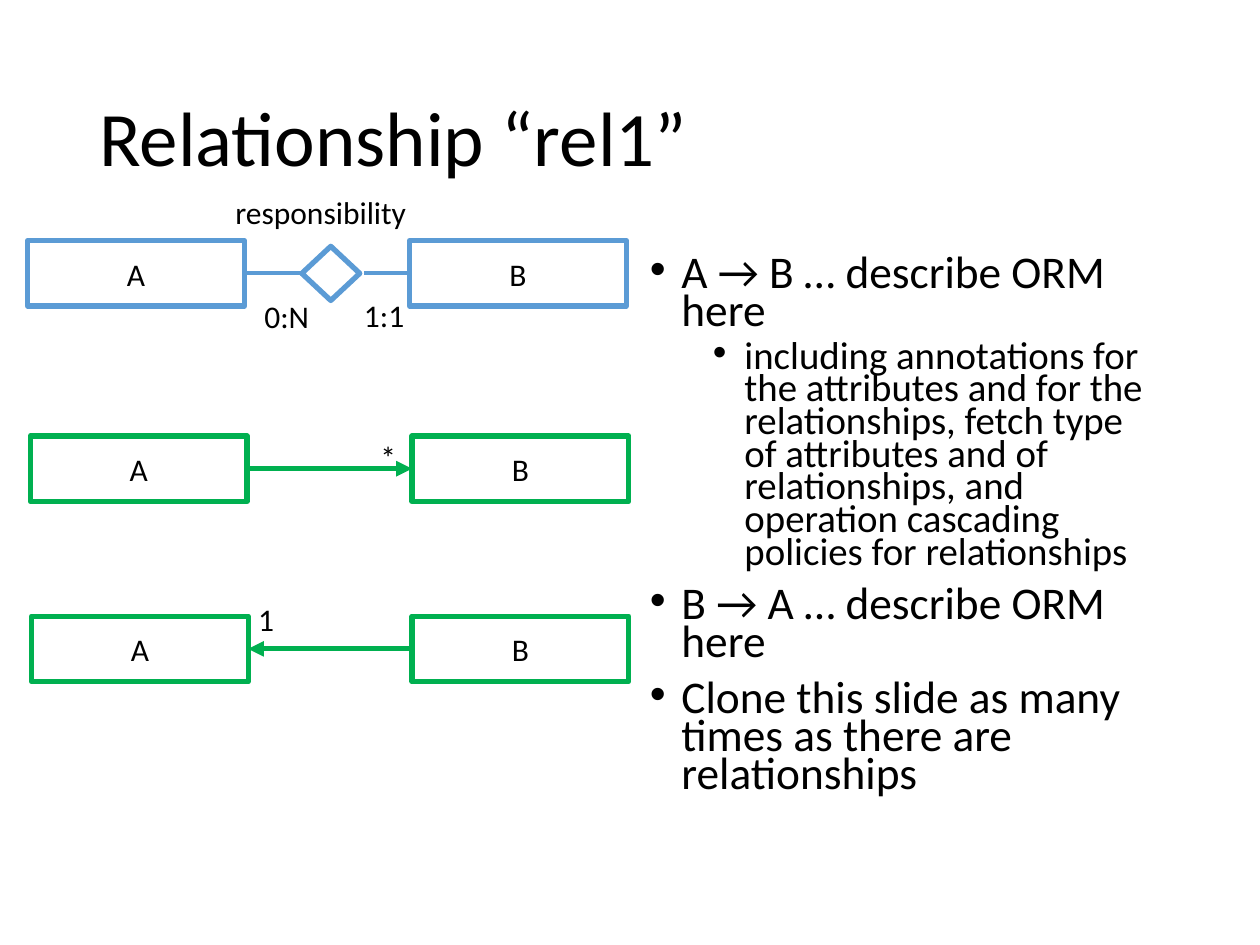
from dataclasses import dataclass

from lxml import etree
from pptx import Presentation
from pptx.dml.color import RGBColor
from pptx.enum.shapes import MSO_CONNECTOR, MSO_SHAPE
from pptx.enum.text import MSO_ANCHOR, MSO_AUTO_SIZE, PP_ALIGN
from pptx.oxml.ns import qn
from pptx.util import Pt

STRAIGHT = MSO_CONNECTOR.STRAIGHT
RECTANGLE, DIAMOND = MSO_SHAPE.RECTANGLE, MSO_SHAPE.DIAMOND
MIDDLE, TOP = MSO_ANCHOR.MIDDLE, MSO_ANCHOR.TOP
CENTER, LEFT = PP_ALIGN.CENTER, PP_ALIGN.LEFT
GROW = MSO_AUTO_SIZE.SHAPE_TO_FIT_TEXT

FONT = "Calibri"
BLACK, WHITE, BLUE, GREEN = "000000", "FFFFFF", "5B9BD5", "00B050"
BOX_WIDTH, BOX_HEIGHT = 123.84, 37.44
LABEL_HEIGHT = 28.8


@dataclass
class EntityRow:
    """A pair of boxes, A and B, at one height."""
    left_a: float
    left_b: float
    top: float
    color: str
    fill: str | None = None

    @property
    def middle(self) -> float:
        return self.top + BOX_HEIGHT / 2

    @property
    def right_a(self) -> float:
        return self.left_a + BOX_WIDTH


@dataclass
class Line:
    """A horizontal line, with an optional arrowhead at its end."""
    start: float
    end: float
    y: float
    color: str
    width: float = 3
    arrow: bool = False


@dataclass
class Label:
    """A short caption beside a line."""
    text: str
    left: float
    top: float
    width: float


@dataclass
class Bullet:
    """A bulleted paragraph with its size, indent and space before."""
    text: str
    size: float = 25.9
    indent: float = 18
    space: float = 10
    level: int = 0


ER_ROW = EntityRow(15.84, 234, 137.52, BLUE, WHITE)
TO_B_ROW = EntityRow(17.28, 235.44, 249.12, GREEN)
TO_A_ROW = EntityRow(18, 235.44, 352.08, GREEN)
ROWS = [ER_ROW, TO_B_ROW, TO_A_ROW]

LINES = [
    Line(ER_ROW.left_b, 208, ER_ROW.middle, BLUE, 2.25),
    Line(172.8, ER_ROW.right_a, ER_ROW.middle, BLUE, 2.25),
    Line(TO_B_ROW.right_a, TO_B_ROW.left_b, TO_B_ROW.middle, GREEN, arrow=True),
    Line(TO_A_ROW.left_b, TO_A_ROW.right_a, TO_A_ROW.middle, GREEN, arrow=True),
]

LABELS = [
    Label("1:1", 200.88, 165.6, 38.16),
    Label("0:N", 144, 166.32, 40.32),
    Label("responsibility", 127.44, 106.56, 113.04),
    Label("*", 210.24, 246.96, 23.76),
    Label("1", 140.4, 339.12, 23.76),
]

BULLETS = [
    Bullet("A → B … describe ORM here"),
    Bullet("including annotations for the attributes and for the relationships, "
           "fetch type of attributes and of relationships, and operation "
           "cascading policies for relationships", 22.2, 54, 5, 1),
    Bullet("B → A … describe ORM here"),
    Bullet("Clone this slide as many times as there are relationships"),
]


def rgb(color: str) -> RGBColor:
    """Turn a hex string into a colour."""
    return RGBColor.from_string(color)


def add_run(paragraph, text: str, size: float) -> None:
    """Add one run of black text."""
    run = paragraph.add_run()
    run.text = text
    run.font.name, run.font.size = FONT, Pt(size)
    run.font.color.rgb = rgb(BLACK)


def add_outline(slide, kind, left: float, top: float, width: float, height: float,
                color: str, fill: str | None = None):
    """Add an outlined preset shape and return it."""
    shape = slide.shapes.add_shape(kind, Pt(left), Pt(top), Pt(width), Pt(height))
    shape.shadow.inherit = False
    if fill:
        shape.fill.solid()
        shape.fill.fore_color.rgb = rgb(fill)
    else:
        shape.fill.background()
    shape.line.color.rgb = rgb(color)
    shape.line.width = Pt(3)
    return shape


def add_entity(slide, text: str, left: float, row: EntityRow) -> None:
    """Add one named entity box."""
    shape = add_outline(slide, RECTANGLE, left, row.top, BOX_WIDTH, BOX_HEIGHT,
                        row.color, row.fill)
    shape.text_frame.vertical_anchor = MIDDLE
    paragraph = shape.text_frame.paragraphs[0]
    paragraph.alignment = CENTER
    add_run(paragraph, text, 18)


def add_line(slide, line: Line) -> None:
    """Add a connector without a shadow."""
    connector = slide.shapes.add_connector(
        STRAIGHT, Pt(line.start), Pt(line.y), Pt(line.end), Pt(line.y))
    connector.line.color.rgb = rgb(line.color)
    connector.line.width = Pt(line.width)
    if line.arrow:
        outline = connector.line._get_or_add_ln()
        etree.SubElement(outline, qn("a:tailEnd"), type="triangle")
    etree.SubElement(connector._element.spPr, qn("a:effectLst"))


def add_text_frame(slide, left: float, top: float, width: float, height: float,
                   anchor=TOP, wrap: bool = True):
    """Add a text box and return its text frame."""
    box = slide.shapes.add_textbox(Pt(left), Pt(top), Pt(width), Pt(height))
    frame = box.text_frame
    frame.word_wrap, frame.vertical_anchor = wrap, anchor
    return frame


def add_label(slide, label: Label) -> None:
    """Add a caption that fits its text."""
    frame = add_text_frame(slide, label.left, label.top, label.width,
                           LABEL_HEIGHT, wrap=False)
    frame.auto_size = GROW
    add_run(frame.paragraphs[0], label.text, 18)


def add_bullets(frame, bullets: list[Bullet]) -> None:
    """Fill a text frame with bulleted paragraphs."""
    for index, bullet in enumerate(bullets):
        paragraph = frame.add_paragraph() if index else frame.paragraphs[0]
        paragraph.alignment, paragraph.level = LEFT, bullet.level
        paragraph.line_spacing = 0.7
        paragraph.space_before = Pt(bullet.space)
        properties = paragraph._p.get_or_add_pPr()
        properties.set("marL", str(Pt(bullet.indent)))
        properties.set("indent", str(Pt(-18)))
        etree.SubElement(properties, qn("a:buFont"), typeface="Arial")
        etree.SubElement(properties, qn("a:buChar"), char="•")
        add_run(paragraph, bullet.text, bullet.size)


def main() -> None:
    """Build and save the slide."""
    presentation = Presentation()
    presentation.slide_width, presentation.slide_height = Pt(720), Pt(540)
    slide = presentation.slides.add_slide(presentation.slide_layouts[6])

    title = add_text_frame(slide, 49.68, 28.8, 620.64, 104.4, MIDDLE).paragraphs[0]
    title.line_spacing = 0.9
    add_run(title, "Relationship “rel1”", 44)
    add_bullets(add_text_frame(slide, 364.32, 144, 306, 342.72), BULLETS)

    for row in ROWS:
        add_entity(slide, "B", row.left_b, row)
        add_entity(slide, "A", row.left_a, row)
    diamond = add_outline(slide, DIAMOND, 173.52, 139.68, 30.96, 33.12, BLUE, WHITE)
    diamond.rotation = 90
    for line in LINES:
        add_line(slide, line)
    for label in LABELS:
        add_label(slide, label)

    presentation.save("out.pptx")


main()
